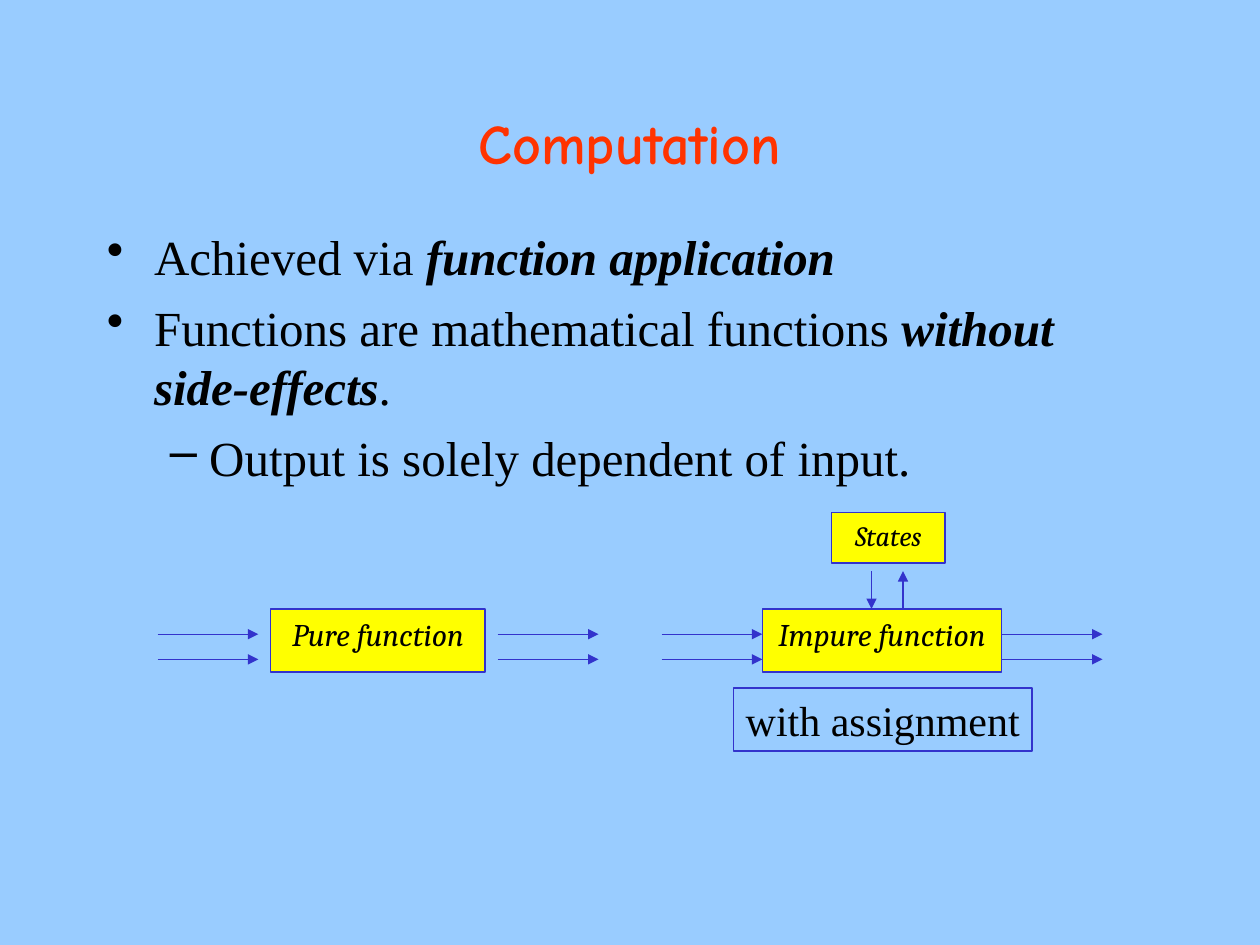
"""Build the slide on computation by function application."""
from pptx import Presentation
from pptx import util as u
from pptx.dml.color import RGBColor
from pptx.enum import shapes, text
from pptx.oxml.ns import qn
from lxml import etree

SERIF, CAMBRIA, COMIC = "Times New Roman", "Cambria", "Comic Neue"
BLUE, YELLOW, BLACK = "3333CC", "FFFF00", "000000"

TITLE = [{"runs": [("Computation", False)]}]
POINTS = [
    {"runs": [("Achieved via ", False), ("function application", True)],
     "bullet": "•", "margin": 27, "indent": -27},
    {"runs": [("Functions are mathematical functions ", False),
              ("without side-effects", True), (".", False)],
     "bullet": "•", "margin": 27, "indent": -27},
    {"runs": [("Output is solely dependent of input.", False)],
     "bullet": "–", "margin": 58.5, "indent": -22.5, "level": 1},
]
FUNCTION_TOP, FUNCTION_HEIGHT = 348, 36
FLOW_ROWS = (362.4, 376.8)
ARROW_LENGTH = 57.6
FUNCTIONS = [
    {"label": "Pure function", "left": 154.8, "width": 122.4, "gap": 7.2},
    {"label": "Impure function", "left": 435.6, "width": 136.8, "gap": 0},
]
STATES_BOX = (475.2, 293, 64.8, 28.8)
NOTE_BOX = (419.2, 393.2, 170.6, 36)
STATE_ARROWS_TOP = 326.4
READ_X, WRITE_X = 498, 516


def color(value):
    return RGBColor.from_string(value)


def write(shape, paragraphs, size=18, font=SERIF, fill=BLACK, bold=False, italic=False,
          align=text.PP_ALIGN.CENTER, anchor=text.MSO_ANCHOR.TOP, wrap=True,
          space_before=0, side_inset=7.2):
    frame = shape.text_frame
    frame.word_wrap = wrap
    frame.vertical_anchor = anchor
    frame.margin_left = frame.margin_right = u.Pt(side_inset)
    for index, item in enumerate(paragraphs):
        paragraph = frame.add_paragraph() if index else frame.paragraphs[0]
        paragraph.alignment = align
        paragraph.level = item.get("level", 0)
        paragraph.space_before = u.Pt(space_before if index else 0)
        if "bullet" in item:
            properties = paragraph._p.get_or_add_pPr()
            properties.set("marL", str(u.Pt(item["margin"])))
            properties.set("indent", str(u.Pt(item["indent"])))
            etree.SubElement(properties, qn("a:buChar")).set("char", item["bullet"])
        for words, emphasis in item["runs"]:
            run = paragraph.add_run()
            run.text = words
            run.font.name, run.font.size = font, u.Pt(size)
            run.font.color.rgb = color(fill)
            run.font.bold, run.font.italic = bold or emphasis, italic or emphasis


def add_text(slide, bounds, paragraphs, **style):
    write(slide.shapes.add_textbox(*map(u.Pt, bounds)), paragraphs, **style)


def add_box(group, bounds, label, fill=YELLOW, line_width=0.75, **style):
    shape = group.shapes.add_shape(shapes.MSO_SHAPE.RECTANGLE, *map(u.Pt, bounds))
    shape.shadow.inherit = False
    if fill:
        shape.fill.solid()
        shape.fill.fore_color.rgb = color(fill)
    else:
        shape.fill.background()
    shape.line.color.rgb = color(BLUE)
    shape.line.width = u.Pt(line_width)
    write(shape, [{"runs": [(label, False)]}], **style)


def add_arrow(group, *ends):
    arrow = group.shapes.add_connector(shapes.MSO_CONNECTOR.STRAIGHT, *map(u.Pt, ends))
    arrow.line.color.rgb = color(BLUE)
    arrow.line.width = u.Pt(0.75)
    etree.SubElement(arrow.line._get_or_add_ln(), qn("a:tailEnd")).set("type", "triangle")
    etree.SubElement(arrow._element.spPr, qn("a:effectLst"))


def add_function(slide, label, left, width, gap):
    group = slide.shapes.add_group_shape()
    add_box(group, (left, FUNCTION_TOP, width, FUNCTION_HEIGHT), label,
            font=CAMBRIA, italic=True)
    for start in (left - gap - ARROW_LENGTH, left + width + gap):
        for y in FLOW_ROWS:
            add_arrow(group, start, y, start + ARROW_LENGTH, y)
    return group


def main():
    presentation = Presentation()
    presentation.slide_width, presentation.slide_height = u.Pt(720), u.Pt(540)
    slide = presentation.slides.add_slide(presentation.slide_layouts[6])
    slide.background.fill.solid()
    slide.background.fill.fore_color.rgb = color("99CCFF")

    add_text(slide, (54, 48, 612, 66), TITLE, size=32, font=COMIC, fill="FF3300",
             bold=True, anchor=text.MSO_ANCHOR.MIDDLE)
    add_text(slide, (54, 126, 612, 354), POINTS, size=28, align=text.PP_ALIGN.LEFT,
             space_before=7)

    pure, impure = [add_function(slide, **function) for function in FUNCTIONS]
    add_box(impure, STATES_BOX, "States", size=16, font=CAMBRIA, italic=True)
    add_arrow(impure, READ_X, STATE_ARROWS_TOP, READ_X, FUNCTION_TOP)
    add_arrow(impure, WRITE_X, FUNCTION_TOP, WRITE_X, STATE_ARROWS_TOP)
    add_box(impure, NOTE_BOX, "with assignment", fill=None, line_width=1,
            size=24, wrap=False, side_inset=3)
    presentation.save("out.pptx")


if __name__ == "__main__":
    main()
